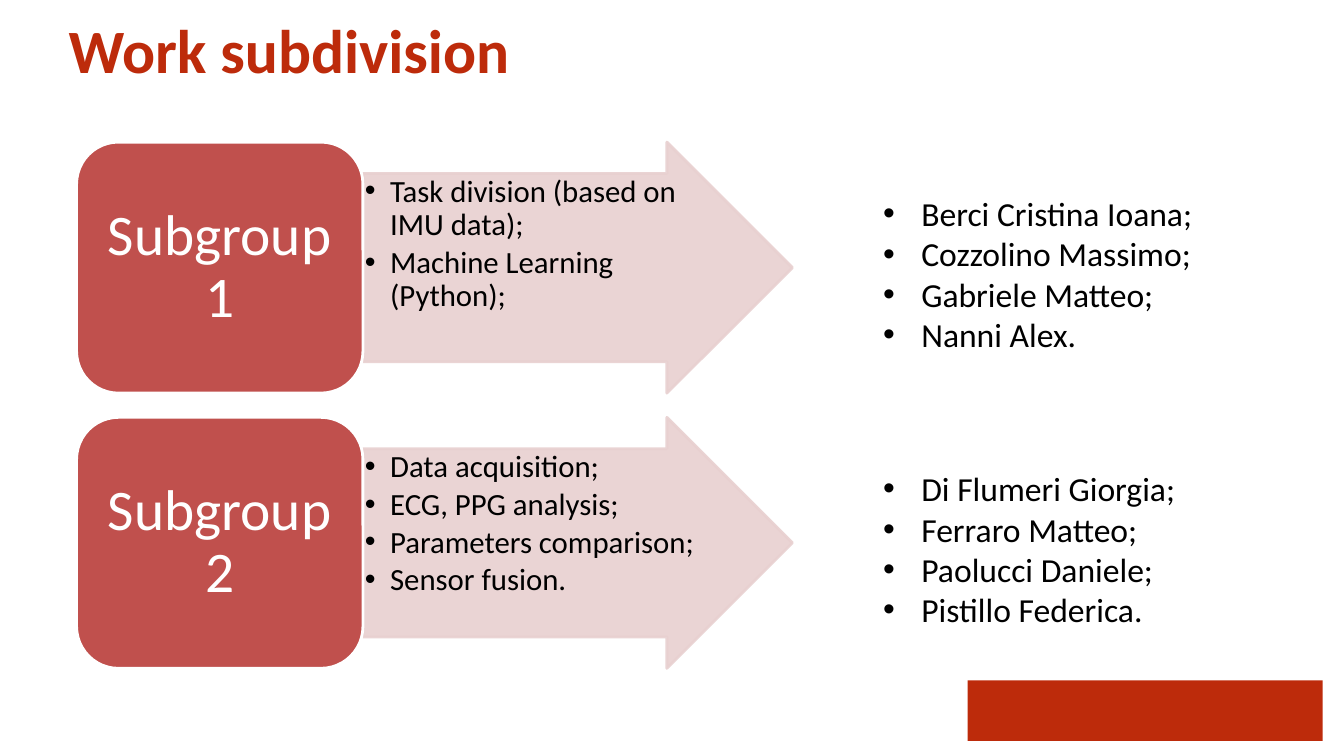
from dataclasses import dataclass

from lxml.etree import SubElement
from pptx import Presentation
from pptx.dml.color import RGBColor
from pptx.enum.shapes import MSO_SHAPE
from pptx.enum.text import MSO_ANCHOR, MSO_AUTO_SIZE, PP_ALIGN
from pptx.oxml.ns import qn
from pptx.util import Inches, Pt


@dataclass(frozen=True)
class Theme:
    font: str = "Calibri"
    accent: RGBColor = RGBColor(0xBD, 0x2B, 0x0B)
    block: RGBColor = RGBColor(0xC0, 0x50, 0x4D)
    arrow: RGBColor = RGBColor(0xE8, 0xD0, 0xD0)
    ink: RGBColor = RGBColor(0, 0, 0)
    paper: RGBColor = RGBColor(255, 255, 255)
    title_size: int = 44
    block_size: int = 41
    task_size: int = 22
    member_size: int = 24


THEME = Theme()
WIDTH, HEIGHT = 13.33, 7.5
ROW_TOP, ROW_PITCH, ROW_HEIGHT = 1.41, 2.73, 2.49
ROW_LEFT, ROW_WIDTH = 0.76, 7.1
BLOCK_SHARE = 0.4
MEMBERS_LEFT, MEMBERS_WIDTH, MEMBERS_HEIGHT = 8.66, 4.2, 1.72

SUBGROUPS = [
    ("Subgroup 1",
     ["Task division (based on IMU data);", "Machine Learning (Python);"],
     ["Berci Cristina Ioana;", "Cozzolino Massimo;", "Gabriele Matteo;", "Nanni Alex."]),
    ("Subgroup 2",
     ["Data acquisition;", "ECG, PPG analysis;", "Parameters comparison;", "Sensor fusion."],
     ["Di Flumeri Giorgia;", "Ferraro Matteo;", "Paolucci Daniele;", "Pistillo Federica."]),
]


def inches(box):
    return [Inches(length) for length in box]


def set_margins(frame, horizontal, vertical):
    frame.margin_left = frame.margin_right = Inches(horizontal)
    frame.margin_top = frame.margin_bottom = Inches(vertical)


def write(frame, lines, size, color, bold=False, indent=None, **paragraph_format):
    """Fill a frame with one paragraph per line, bulleted when an indent is given."""
    frame.word_wrap = True
    for number, line in enumerate(lines):
        paragraph = frame.add_paragraph() if number else frame.paragraphs[0]
        if indent:
            properties = paragraph._p.get_or_add_pPr()
            properties.set("marL", str(Inches(indent)))
            properties.set("indent", str(-Inches(indent)))
            SubElement(properties, qn("a:buFont"), typeface="Arial")
            SubElement(properties, qn("a:buChar"), char="•")
        for name, value in paragraph_format.items():
            setattr(paragraph, name, value)
        run = paragraph.add_run()
        run.text = line
        for name, value in dict(name=THEME.font, size=Pt(size), bold=bold).items():
            setattr(run.font, name, value)
        run.font.color.rgb = color


def add_filled(slide, preset, box, fill, line=None):
    shape = slide.shapes.add_shape(preset, *inches(box))
    shape.shadow.inherit = False
    shape.fill.solid()
    shape.fill.fore_color.rgb = fill
    if line is None:
        shape.line.fill.background()
    else:
        shape.line.color.rgb = line
        shape.line.width = Pt(2)
    return shape


def add_title(slide, box, text):
    title = slide.shapes.title
    title.left, title.top, title.width, title.height = inches(box)
    frame = title.text_frame
    frame.auto_size = MSO_AUTO_SIZE.NONE
    frame.vertical_anchor = MSO_ANCHOR.TOP
    write(frame, [text], THEME.title_size, THEME.accent, bold=True,
          alignment=PP_ALIGN.LEFT, line_spacing=Pt(22))


def add_subgroup(slide, box, name, tasks):
    """Place a rounded block with the name and an arrow with the tasks side by side."""
    left, top, width, height = box
    block_width = width * BLOCK_SHARE

    arrow = add_filled(slide, MSO_SHAPE.RIGHT_ARROW,
                       (left + block_width, top, width - block_width, height),
                       THEME.arrow, THEME.arrow)
    arrow.adjustments[0], arrow.adjustments[1] = 0.75, 0.5
    for color in arrow._element.spPr.iter(qn("a:srgbClr")):
        SubElement(color, qn("a:alpha"), val="90000")
    set_margins(arrow.text_frame, 0.02, 0.02)
    arrow.text_frame.vertical_anchor = MSO_ANCHOR.TOP
    write(arrow.text_frame, tasks, THEME.task_size, THEME.ink, indent=0.25,
          alignment=PP_ALIGN.LEFT, line_spacing=0.9, space_after=Pt(3.3))

    block = add_filled(slide, MSO_SHAPE.ROUNDED_RECTANGLE,
                       (left, top, block_width, height), THEME.block, THEME.paper)
    set_margins(block.text_frame, 0.17, 0.09)
    block.text_frame.vertical_anchor = MSO_ANCHOR.MIDDLE
    write(block.text_frame, [name], THEME.block_size, THEME.paper,
          alignment=PP_ALIGN.CENTER, line_spacing=0.9)


def add_members(slide, box, members):
    frame = slide.shapes.add_textbox(*inches(box)).text_frame
    frame.auto_size = MSO_AUTO_SIZE.SHAPE_TO_FIT_TEXT
    write(frame, members, THEME.member_size, THEME.ink, indent=0.38)


def main():
    presentation = Presentation()
    presentation.slide_width, presentation.slide_height = Inches(WIDTH), Inches(HEIGHT)
    slide = presentation.slides.add_slide(presentation.slide_layouts[5])

    add_filled(slide, MSO_SHAPE.RECTANGLE,
               (WIDTH * 0.72, HEIGHT * 0.9, 3.52, HEIGHT * 0.08), THEME.accent)
    add_title(slide, (0.58, 0.5, 12.28, 0.71), "Work subdivision")
    for row, (name, tasks, members) in enumerate(SUBGROUPS):
        top = ROW_TOP + row * ROW_PITCH
        add_subgroup(slide, (ROW_LEFT, top, ROW_WIDTH, ROW_HEIGHT), name, tasks)
        members_top = top + (ROW_HEIGHT - MEMBERS_HEIGHT) / 2 + 0.07
        add_members(slide, (MEMBERS_LEFT, members_top, MEMBERS_WIDTH, MEMBERS_HEIGHT), members)

    presentation.save("out.pptx")


if __name__ == "__main__":
    main()
